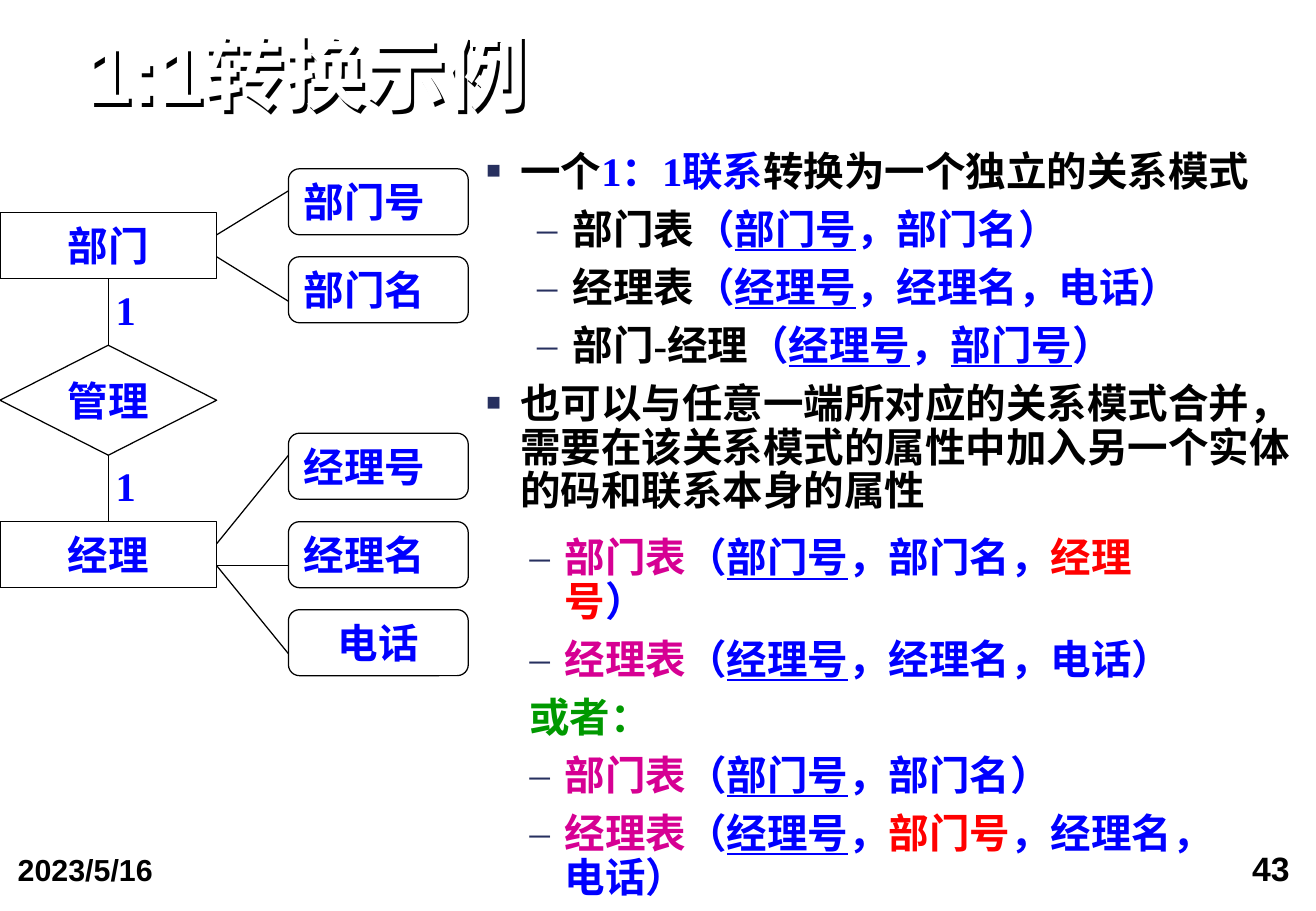
from dataclasses import dataclass

from lxml import etree
from pptx import Presentation
from pptx import util as u
from pptx.dml.color import RGBColor
from pptx.enum import shapes, text
from pptx.oxml.ns import qn

MS = shapes.MSO_SHAPE
AL = text.PP_ALIGN
ANCHOR = text.MSO_ANCHOR


@dataclass(frozen=True)
class Theme:
    black: str = "000000"
    white: str = "FFFFFF"
    blue: str = "0000FF"
    red: str = "FF0000"
    pink: str = "D60093"
    green: str = "009900"
    bullet: str = "27305F"
    head: str = "Arial"
    body: str = "Times New Roman"
    title_size: int = 48
    text_size: int = 24
    number_size: int = 20
    date_size: int = 18
    line: float = 0.75


T = Theme()
SQUARE = dict(char="■", size=60, left=0.71, hang=-0.71)
DASH = dict(char="–", size=100, left=1.8, hang=-0.74)
PLAIN = dict(DASH, char=None)


class Deck:
    def __init__(self, theme, width, height):
        self.t = theme
        self.prs = Presentation()
        self.prs.slide_width, self.prs.slide_height = u.Cm(width), u.Cm(height)
        self.s = self.prs.slides.add_slide(self.prs.slide_layouts[5])

    def put(self, obj, **values):
        for name, value in values.items():
            setattr(obj, name, value)

    def frame(self, sp, inset, anchor=ANCHOR.TOP, wrap=True):
        x, y = map(u.Cm, inset)
        tf = sp.text_frame
        self.put(tf, margin_left=x, margin_right=x, margin_top=y, margin_bottom=y,
                 vertical_anchor=anchor, word_wrap=wrap)
        return tf

    def run(self, p, txt, color, size=None, font=None, underline=None):
        r = p.add_run()
        r.text = txt
        self.put(r.font, size=u.Pt(size or self.t.text_size), bold=True,
                 name=font or self.t.body, underline=underline)
        r.font.color.rgb = RGBColor.from_string(color)

    def title(self, txt, box):
        sp = self.s.shapes.title
        sp.left, sp.top, sp.width, sp.height = map(u.Cm, box)
        p = self.frame(sp, (0, 0), ANCHOR.BOTTOM).paragraphs[0]
        self.put(p, alignment=AL.LEFT, line_spacing=0.9)
        self.run(p, txt, self.t.white, self.t.title_size, self.t.head)
        sp.fill.background()
        effects = etree.SubElement(sp._element.spPr, qn("a:effectLst"))
        shadow = etree.SubElement(effects, qn("a:outerShdw"), dist="35921",
                                  dir="2700000", algn="ctr", rotWithShape="0")
        etree.SubElement(shadow, qn("a:srgbClr"), val=self.t.black)

    def label(self, txt, box, align, inset=(0.25, 0.13), color=None, **font):
        sp = self.s.shapes.add_textbox(*map(u.Cm, box))
        p = self.frame(sp, inset).paragraphs[0]
        p.alignment = align
        self.run(p, txt, color or self.t.blue, **font)

    def bullet(self, p, char, size, left, hang):
        pPr = p._p.get_or_add_pPr()
        pPr.set("marL", str(u.Cm(left)))
        pPr.set("indent", str(u.Cm(hang)))
        if char is None:
            etree.SubElement(pPr, qn("a:buNone"))
            return
        clr = etree.SubElement(pPr, qn("a:buClr"))
        etree.SubElement(clr, qn("a:srgbClr"), val=self.t.bullet)
        etree.SubElement(pPr, qn("a:buSzPct"), val=str(size * 1000))
        etree.SubElement(pPr, qn("a:buFont"), typeface=self.t.body)
        etree.SubElement(pPr, qn("a:buChar"), char=char)

    def outline(self, items, box, inset):
        sp = self.s.shapes.add_textbox(*map(u.Cm, box))
        tf = self.frame(sp, inset)
        for i, (style, runs) in enumerate(items):
            p = tf.add_paragraph() if i else tf.paragraphs[0]
            self.bullet(p, **style)
            self.put(p, line_spacing=0.9, space_before=u.Pt(8.5 if i else 0))
            for txt, color, *line in runs:
                self.run(p, txt, color, underline=bool(line))

    def node(self, kind, txt, box, align=AL.CENTER):
        sp = self.s.shapes.add_shape(kind, *map(u.Cm, box))
        sp.shadow.inherit = False
        sp.fill.background()
        self.stroke(sp)
        p = self.frame(sp, (0.25, 0.13), ANCHOR.MIDDLE, kind != MS.DIAMOND).paragraphs[0]
        p.alignment = align
        self.run(p, txt, self.t.blue)

    def link(self, x1, y1, x2, y2):
        c = self.s.shapes.add_connector(shapes.MSO_CONNECTOR.STRAIGHT,
                                        *map(u.Cm, (x1, y1, x2, y2)))
        self.stroke(c)
        etree.SubElement(c._element.spPr, qn("a:effectLst"))

    def stroke(self, sp):
        sp.line.color.rgb = RGBColor.from_string(self.t.black)
        sp.line.width = u.Pt(self.t.line)


def row(k):
    return round(3.53 + 0.461 * k, 2)


def table(name, *fields, color=T.pink):
    return DASH, [(name, color), ("（", T.blue), *fields, ("）", T.blue)]


def key(name):
    return name, T.blue, True


def attrs(names):
    return names, T.blue


def diagram(d):
    entity_w, attr_x, attr_w, box_h = 4.53, 6.03, 3.76, 1.38
    mid = round(entity_w / 2, 2)
    for name, k in (("部门", 2), ("经理", 16)):
        d.node(MS.RECTANGLE, name, (0, row(k), entity_w, box_h))
    d.node(MS.DIAMOND, "管理", (0, row(8), entity_w, row(13) - row(8)))
    for top, bottom in ((5, 8), (13, 16)):
        d.link(mid, row(top), mid, row(bottom))
        d.label("1", (1.5, row(top), 2.26, box_h), AL.CENTER)
    for name, k, start, end, align in (
            ("部门号", 0, 3, 1, AL.JUSTIFY), ("部门名", 4, 4, 6, AL.JUSTIFY),
            ("经理号", 12, 17, 13, AL.JUSTIFY), ("经理名", 16, 18, 18, AL.JUSTIFY),
            ("电话", 20, 18, 22, AL.CENTER)):
        d.node(MS.ROUNDED_RECTANGLE, name, (attr_x, row(k), attr_w, box_h), align)
        d.link(entity_w, row(start), attr_x, row(end))


def main():
    d = Deck(T, 27.51, 19.05)
    d.title("1:1转换示例", (1.8, 0.71, 24.51, 1.83))
    d.outline([
        (SQUARE, [("一个", T.black), ("1：1联系", T.blue),
                  ("转换为一个独立的关系模式", T.black)]),
        table("部门表", key("部门号"), attrs("，部门名"), color=T.black),
        table("经理表", key("经理号"), attrs("，经理名，电话"), color=T.black),
        table("部门-经理", key("经理号"), attrs("，"), key("部门号"), color=T.black),
        (SQUARE, [("也可以与任意一端所对应的关系模式合并，需要在该关系模式的属性中"
                   "加入另一个实体的码和联系本身的属性", T.black)]),
    ], (10.17, 3.16, 17.34, 7.82), (0, 0))
    d.outline([
        table("部门表", key("部门号"), attrs("，部门名，"), ("经理号", T.red)),
        table("经理表", key("经理号"), attrs("，经理名，电话")),
        (PLAIN, [("或者：", T.green)]),
        table("部门表", key("部门号"), attrs("，部门名")),
        table("经理表", key("经理号"), attrs("，"), ("部门号", T.red),
              attrs("，经理名，电话")),
    ], (9.76, 11.11, 15.6, 7.26), (0.25, 0.13))
    diagram(d)
    footer = dict(inset=(0.33, 0.15), color=T.black, font=T.head)
    d.label("2023/5/16", (0.04, 17.64, 6.38, 1.4), AL.LEFT, size=T.date_size, **footer)
    d.label("43", (20.33, 17.58, 6.96, 1.45), AL.RIGHT, size=T.number_size, **footer)
    d.prs.save("out.pptx")


if __name__ == "__main__":
    main()
